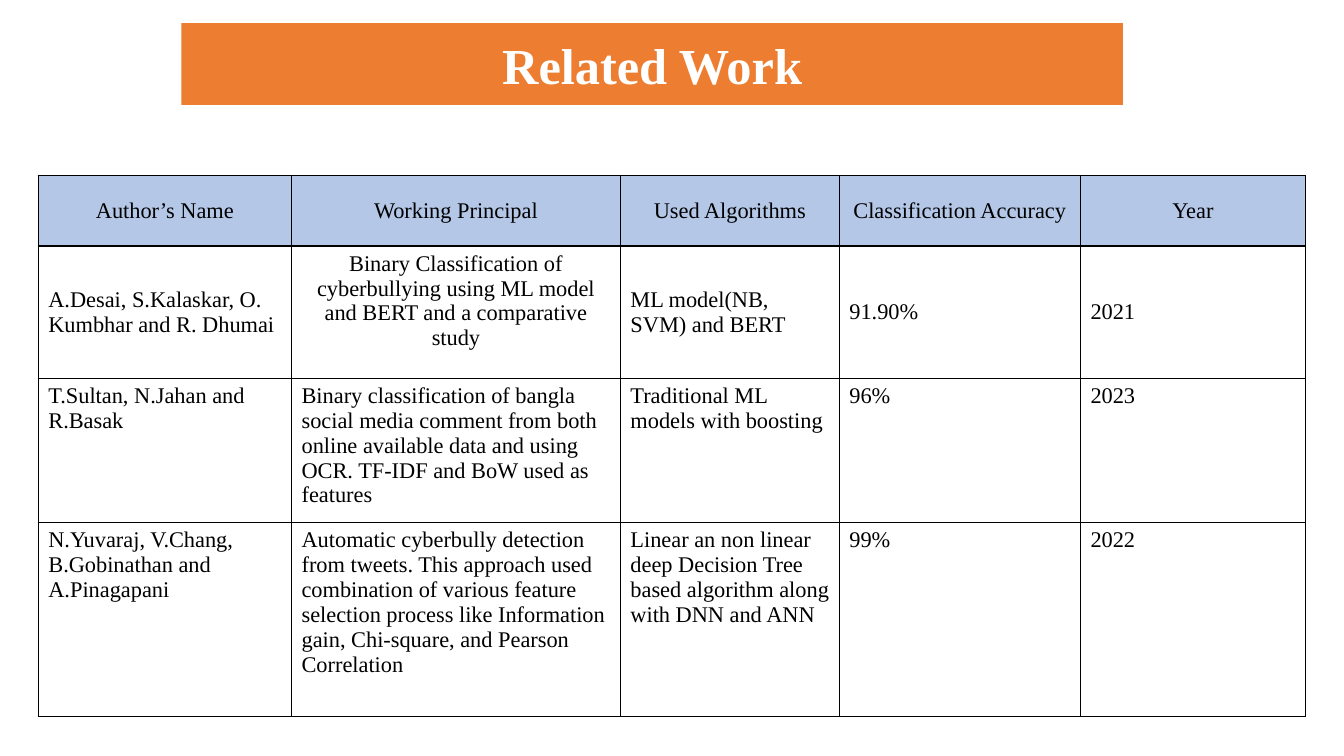
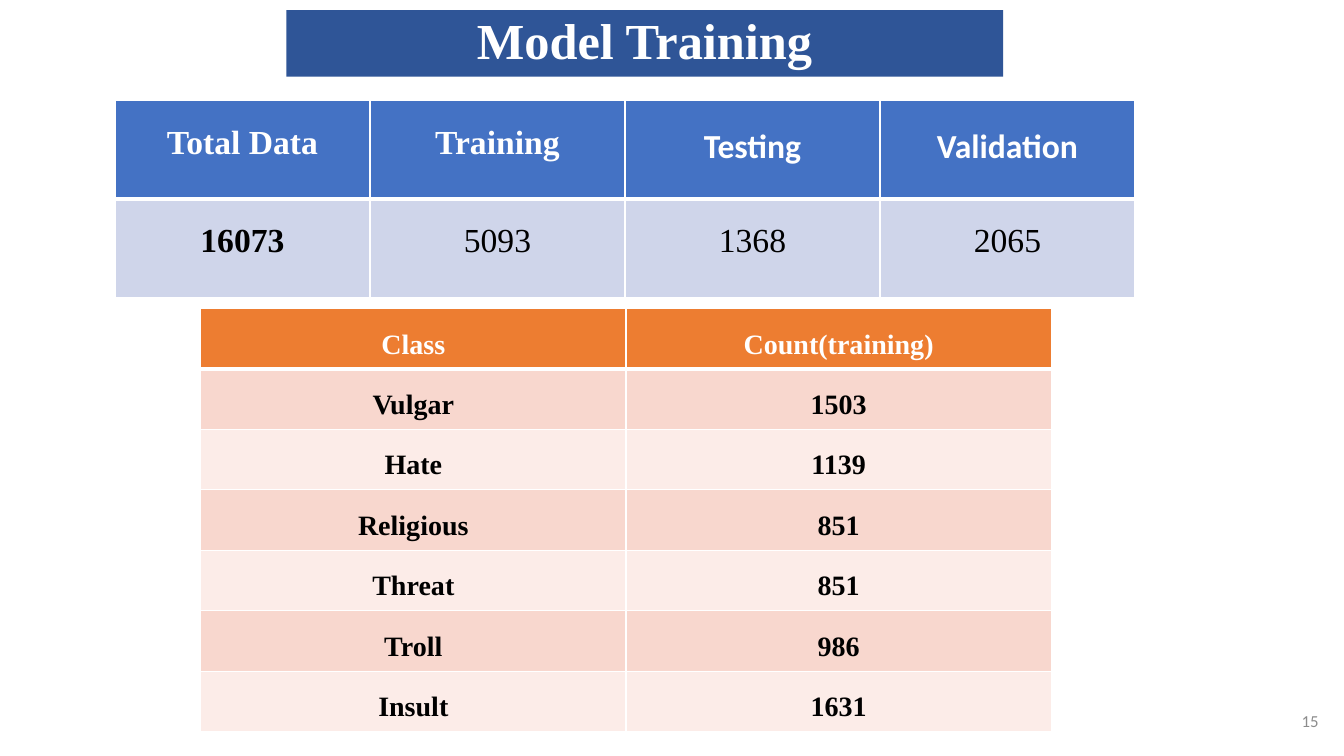
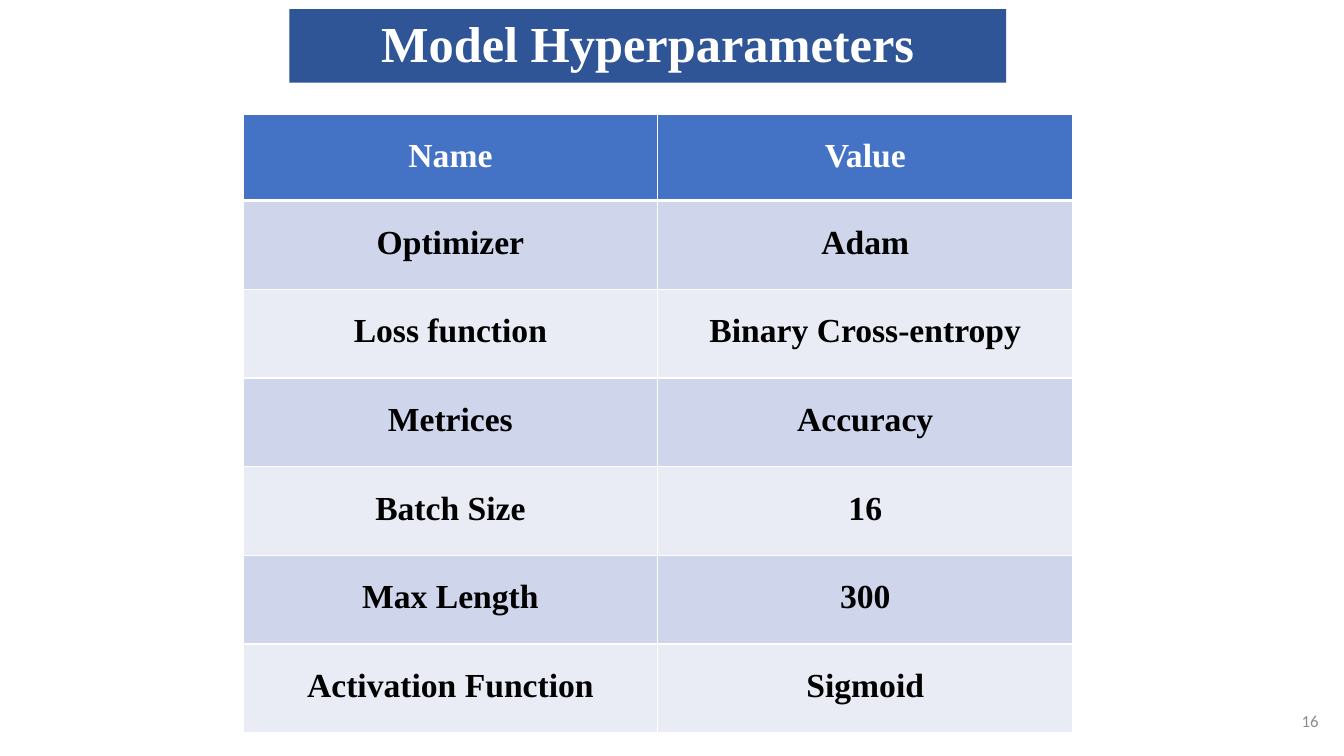
from dataclasses import dataclass, field
from typing import Any

from lxml.etree import SubElement
from pptx import Presentation
from pptx.dml.color import RGBColor
from pptx.enum.text import MSO_ANCHOR, MSO_AUTO_SIZE, PP_ALIGN
from pptx.oxml.ns import qn
from pptx.util import Emu, Inches, Pt

SLIDE_WIDTH = Inches(13.33)
SLIDE_HEIGHT = Inches(7.5)
TITLE_ONLY = 5

SERIF = "Times New Roman"
SANS = "Calibri"
WHITE = "FFFFFF"
BLACK = "000000"
GREY = "8C8C8C"
ORANGE = "ED7D31"
NAVY = "2F5597"
BLUE = "4472C4"
PALE_BLUE = "B4C7E7"
BLUE_BANDS = ("CFD5EA", "E9EBF5")
ORANGE_BANDS = ("F8D7CE", "FCECE8")

TITLE_FONT = {"name": SERIF, "size": Pt(36), "bold": True}
NUMBER_FONT = {"name": SANS, "size": Pt(12), "bold": False}


@dataclass(frozen=True)
class Box:
    """Place and size as percentages of the slide."""

    left: float
    top: float
    width: float
    height: float

    def lengths(self) -> tuple[Emu, Emu, Emu, Emu]:
        return (
            Emu(round(SLIDE_WIDTH * self.left / 100)),
            Emu(round(SLIDE_HEIGHT * self.top / 100)),
            Emu(round(SLIDE_WIDTH * self.width / 100)),
            Emu(round(SLIDE_HEIGHT * self.height / 100)),
        )


@dataclass(frozen=True)
class TitleBand:
    text: str
    box: Box
    fill: str = NAVY
    line_spacing: float = 0.9


@dataclass(frozen=True)
class CellFormat:
    font: dict[str, Any]
    color: str = BLACK
    paragraph: dict[str, Any] = field(default_factory=dict)
    anchor: MSO_ANCHOR = MSO_ANCHOR.TOP


@dataclass(frozen=True)
class Grid:
    box: Box
    column_shares: tuple[float, ...]
    row_shares: tuple[float, ...]
    texts: tuple[tuple[str, ...], ...]
    header_fill: str
    bands: tuple[str, ...]
    header: CellFormat
    body: CellFormat
    exceptions: dict[tuple[int, int], CellFormat] = field(default_factory=dict)
    border: str = WHITE
    header_rule: float = 3

    def format_at(self, row: int, column: int) -> CellFormat:
        regular = self.body if row else self.header
        return self.exceptions.get((row, column), regular)

    def fill_at(self, row: int) -> str:
        return self.bands[(row - 1) % len(self.bands)] if row else self.header_fill

    def borders_at(self, row: int) -> dict[str, float]:
        return {
            "a:lnL": 1,
            "a:lnR": 1,
            "a:lnT": self.header_rule if row == 1 else 1,
            "a:lnB": self.header_rule if row == 0 else 1,
        }


@dataclass(frozen=True)
class Page:
    title: TitleBand
    grids: tuple[Grid, ...]
    number: str = ""


def color_of(value: str) -> RGBColor:
    return RGBColor.from_string(value)


def apply(target: Any, values: dict[str, Any]) -> None:
    for name, value in values.items():
        setattr(target, name, value)


def write(text_frame: Any, text: str, font: dict[str, Any], color: str,
          paragraph_values: dict[str, Any]) -> None:
    paragraph = text_frame.paragraphs[0]
    apply(paragraph, paragraph_values)
    run = paragraph.add_run()
    run.text = text
    apply(run.font, font)
    run.font.color.rgb = color_of(color)


def draw_title(slide: Any, band: TitleBand) -> None:
    shape = slide.shapes.title
    apply(shape, dict(zip(("left", "top", "width", "height"), band.box.lengths())))
    shape.fill.solid()
    shape.fill.fore_color.rgb = color_of(band.fill)
    apply(shape.text_frame, {
        "word_wrap": True,
        "auto_size": MSO_AUTO_SIZE.NONE,
        "vertical_anchor": MSO_ANCHOR.MIDDLE,
    })
    write(shape.text_frame, band.text, TITLE_FONT, WHITE,
          {"alignment": PP_ALIGN.CENTER, "line_spacing": band.line_spacing})


def draw_number(slide: Any, number: str) -> None:
    text_frame = slide.shapes.add_textbox(*Box(94.35, 92.53, 4.5, 5.73).lengths()).text_frame
    apply(text_frame, {"word_wrap": True, "vertical_anchor": MSO_ANCHOR.MIDDLE})
    write(text_frame, number, NUMBER_FONT, GREY, {"alignment": PP_ALIGN.RIGHT})


def draw_borders(cell: Any, color: str, widths: dict[str, float]) -> None:
    properties = cell._tc.get_or_add_tcPr()
    for tag, width in widths.items():
        line = SubElement(properties, qn(tag), w=str(Pt(width)))
        SubElement(SubElement(line, qn("a:solidFill")), qn("a:srgbClr"), val=color)


def draw_grid(slide: Any, grid: Grid) -> None:
    left, top, width, height = grid.box.lengths()
    table = slide.shapes.add_table(
        len(grid.row_shares), len(grid.column_shares), left, top, width, height
    ).table
    apply(table, {"first_row": False, "horz_banding": False})
    for column, share in zip(table.columns, grid.column_shares):
        column.width = Emu(round(width * share / sum(grid.column_shares)))
    for row, share in zip(table.rows, grid.row_shares):
        row.height = Emu(round(height * share / sum(grid.row_shares)))
    for row_index, row_texts in enumerate(grid.texts):
        for column_index, text in enumerate(row_texts):
            cell = table.cell(row_index, column_index)
            cell_format = grid.format_at(row_index, column_index)
            cell.vertical_anchor = cell_format.anchor
            draw_borders(cell, grid.border, grid.borders_at(row_index))
            cell.fill.solid()
            cell.fill.fore_color.rgb = color_of(grid.fill_at(row_index))
            write(cell.text_frame, text, cell_format.font, cell_format.color,
                  cell_format.paragraph)


def font_of(size: float, bold: bool = True, name: str = SERIF) -> dict[str, Any]:
    return {"name": name, "size": Pt(size), "bold": bold}


CENTERED = {"alignment": PP_ALIGN.CENTER}
SPACED = {"alignment": PP_ALIGN.CENTER, "line_spacing": 1.5}
PLAIN = font_of(16, bold=False)
PLAIN_MIDDLE = CellFormat(PLAIN, anchor=MSO_ANCHOR.MIDDLE)
LARGE_HEADER = CellFormat(font_of(24), WHITE, SPACED)
LARGE_BODY = CellFormat(font_of(24), BLACK, SPACED)
SANS_HEADER = CellFormat(font_of(24, name=SANS), WHITE, SPACED)

RELATED_WORK = Grid(
    box=Box(2.85, 23.2, 94.28, 71.6),
    column_shares=(2.51, 3.26, 2.17, 2.39, 2.23),
    row_shares=(0.7, 1.31, 1.43, 1.92),
    texts=(
        ("Author’s Name", "Working Principal", "Used Algorithms",
         "Classification Accuracy", "Year"),
        ("A.Desai, S.Kalaskar, O. Kumbhar and R. Dhumai",
         "Binary Classification of cyberbullying using ML model and BERT "
         "and a comparative study",
         "ML model(NB, SVM) and BERT", "91.90%", "2021"),
        ("T.Sultan, N.Jahan and R.Basak",
         "Binary classification of bangla social media comment from both online "
         "available data and using OCR. TF-IDF and BoW used as features",
         "Traditional ML models with boosting", "96%", "2023"),
        ("N.Yuvaraj, V.Chang, B.Gobinathan and A.Pinagapani",
         "Automatic cyberbully detection from tweets. This approach used combination "
         "of various feature selection process like Information gain, Chi-square, "
         "and Pearson Correlation",
         "Linear an non linear deep Decision Tree based algorithm along with DNN and ANN",
         "99%", "2022"),
    ),
    header_fill=PALE_BLUE,
    bands=(WHITE,),
    header=CellFormat(PLAIN, BLACK, CENTERED, MSO_ANCHOR.MIDDLE),
    body=CellFormat(PLAIN),
    exceptions={
        **{(1, column): PLAIN_MIDDLE for column in (0, 2, 3, 4)},
        (1, 1): CellFormat(PLAIN, BLACK, CENTERED),
    },
    border=BLACK,
    header_rule=1,
)

DATA_SPLIT = Grid(
    box=Box(8.55, 13.33, 75.9, 26),
    column_shares=(1,) * 4,
    row_shares=(1,) * 2,
    texts=(
        ("Total Data", "Training", "Testing", "Validation"),
        ("16073", "5093", "1368", "2065"),
    ),
    header_fill=BLUE,
    bands=BLUE_BANDS,
    header=LARGE_HEADER,
    body=CellFormat(font_of(24, bold=False), BLACK, SPACED),
    exceptions={(0, 2): SANS_HEADER, (0, 3): SANS_HEADER, (1, 0): LARGE_BODY},
)

CLASS_COUNTS = Grid(
    box=Box(14.93, 40.8, 63.3, 56),
    column_shares=(1,) * 2,
    row_shares=(1,) * 7,
    texts=(
        ("Class", "Count(training)"),
        ("Vulgar", "1503"),
        ("Hate", "1139"),
        ("Religious", "851"),
        ("Threat", "851"),
        ("Troll", "986"),
        ("Insult", "1631"),
    ),
    header_fill=ORANGE,
    bands=ORANGE_BANDS,
    header=CellFormat(font_of(20), WHITE, SPACED),
    body=CellFormat(font_of(20), BLACK, SPACED),
)

HYPERPARAMETERS = Grid(
    box=Box(18.08, 15.07, 61.73, 81.87),
    column_shares=(1,) * 2,
    row_shares=(0.86,) + (0.88,) * 6,
    texts=(
        ("Name", "Value"),
        ("Optimizer", "Adam"),
        ("Loss function", "Binary Cross-entropy"),
        ("Metrices", "Accuracy"),
        ("Batch Size", "16"),
        ("Max Length", "300"),
        ("Activation Function", "Sigmoid"),
    ),
    header_fill=BLUE,
    bands=BLUE_BANDS,
    header=LARGE_HEADER,
    body=LARGE_BODY,
)

PAGES = (
    Page(TitleBand("Related Work", Box(13.5, 3.07, 70.05, 10.8), ORANGE, 1.0),
         (RELATED_WORK,)),
    Page(TitleBand("Model Training", Box(21.3, 1.33, 53.33, 8.8)),
         (DATA_SPLIT, CLASS_COUNTS), "15"),
    Page(TitleBand("Model Hyperparameters", Box(21.53, 1.2, 53.33, 9.73)),
         (HYPERPARAMETERS,), "16"),
)


def main() -> None:
    presentation = Presentation()
    apply(presentation, {"slide_width": SLIDE_WIDTH, "slide_height": SLIDE_HEIGHT})
    for page in PAGES:
        slide = presentation.slides.add_slide(presentation.slide_layouts[TITLE_ONLY])
        draw_title(slide, page.title)
        for grid in page.grids:
            draw_grid(slide, grid)
        if page.number:
            draw_number(slide, page.number)
    presentation.save("out.pptx")


if __name__ == "__main__":
    main()
